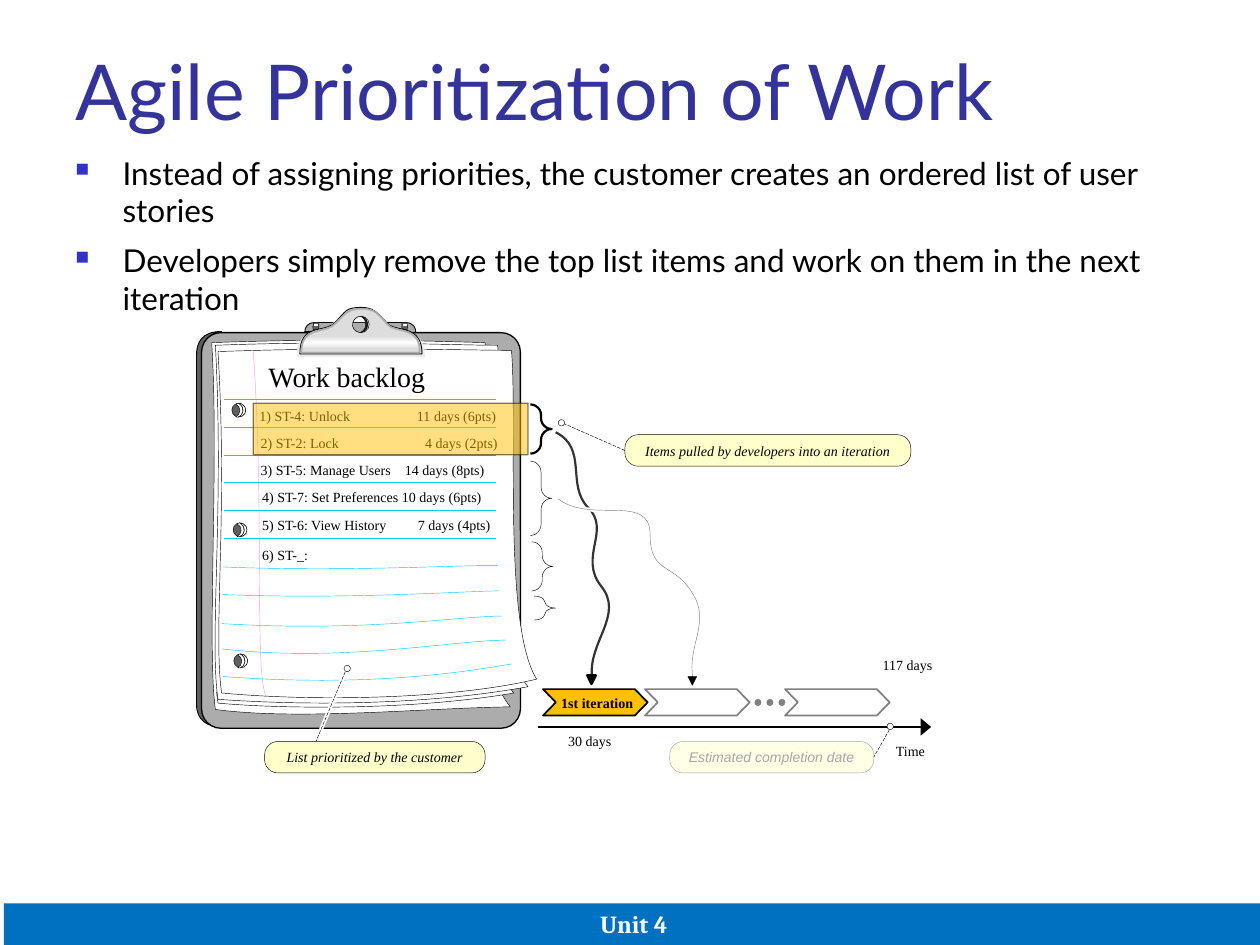
from copy import deepcopy
from typing import NamedTuple, Optional

from lxml.etree import SubElement as Sub
from pptx import Presentation
from pptx.dml.color import RGBColor as RGB
from pptx.enum.dml import MSO_LINE as Dash
from pptx.enum.shapes import MSO_CONNECTOR as Conn, MSO_SHAPE as Kind
from pptx.enum.text import MSO_ANCHOR as Anchor, PP_ALIGN as Align
from pptx.oxml.ns import qn
from pptx.util import Pt

BLACK, WHITE = RGB(0, 0, 0), RGB(255, 255, 255)
NAVY, BLUE, BAR = RGB(0x33, 0x33, 0x99), RGB(0x33, 0x33, 0xCC), RGB(0, 0x70, 0xC0)
GOLD, CREAM, PALE = RGB(0xFF, 0xC0, 0), RGB(0xFF, 0xFF, 0xCC), RGB(0xFF, 0xFF, 0xE6)
INK, COAL, DARK = RGB(0x1C, 0x1C, 0x1C), RGB(0x33, 0x33, 0x33), RGB(0x5F, 0x5F, 0x5F)
GRAY, DIM, STEEL = RGB(0x80, 0x80, 0x80), RGB(0xA6, 0xA6, 0xA6), RGB(0xAC, 0xAC, 0xAC)
SILVER, MIST = RGB(0xDD, 0xDD, 0xDD), RGB(0xEA, 0xEA, 0xEA)
PINK, CYAN = RGB(0xFF, 0x99, 0xFF), RGB(0, 0xCC, 0xFF)
SERIF = "Times New Roman"


class Curve(NamedTuple):
    """An outline of M, L, C and Z steps, in points."""
    steps: str
    fill: Optional[RGB] = None
    line: RGB = BLACK
    width: float = 0.25


class Story(NamedTuple):
    text: str
    left: float
    top: float
    tab: float = 90


class Brace(NamedTuple):
    left: float
    top: float
    height: float
    bend: float
    width: float = 0.25


SHEETS = [
    Curve("M 174.2 189.4 L 237.6 190.1 C 237.6 187.2 236.2 184.3 231.8 184.3 L 180 184.3 "
          "C 175.7 184.3 174.2 187.2 174.2 189.4 Z", STEEL, width=0.5),
    Curve("M 126.7 189.4 C 115.2 189.4 112.3 195.8 112.3 203 L 112.3 402.5 C 112.3 411.8 118.8 415.4 126.7 415.4 "
          "C 123.1 415.4 115.2 413.3 115.2 402.5 L 115.2 203.8 C 115.2 195.1 120.2 190.1 126.7 189.4 Z",
          DARK, width=0.5),
    Curve("M 121 195.8 C 125.3 265.7 118.1 367.9 123.1 405.4 C 171.4 411.8 241.9 404.6 291.6 403.9 "
          "C 261.4 367.2 280.8 236.9 277.2 195.8 C 251.3 195.1 197.3 193 121 195.8 Z", WHITE),
    Curve("M 123.8 395.3 C 123.8 397.4 124.6 401 124.6 401.8 C 154.8 404.6 230.4 406.8 293.8 396 "
          "C 293 396 292.3 393.8 291.6 393.1", WHITE),
    Curve("M 123.1 197.3 C 128.2 291.6 119.5 365 124.6 399.6 C 185 403.9 250.6 401.8 301.7 392.4 "
          "C 270.7 353.5 288 239 284.4 197.3 C 257.8 197.3 201.6 194.4 123.1 197.3 Z", WHITE),
    Curve("M 124.6 200.9 C 130.3 294.5 121.7 361.4 126.7 396 C 179.3 401 259.2 399.6 306.7 388.1 "
          "C 287.3 357.1 295.9 241.9 292.3 200.2 C 265 200.2 206.6 198 124.6 200.9 Z", WHITE),
]
MARGIN = Curve("M 144.7 200.2 C 151.2 293 145.4 383.8 151.9 397.4", line=PINK)
RULES = ["M 127.4 324 C 200.2 326.9 265.7 322.6 284.4 323.3", "M 127.4 339.8 C 200.2 342.7 267.1 337.7 285.1 337.7",
         "M 126.7 356.4 C 209.5 361.4 261.4 352.1 286.6 352.1", "M 126.7 370.8 C 195.8 378.7 259.9 365.8 288.7 365.8",
         "M 127.4 386.6 C 205.9 392.4 259.2 385.2 292.3 379.4"]
RIM = Curve("M 2.2 0.7 C 2.9 0 3.6 0 3.6 0 C 7.9 2.2 6.5 7.2 3.6 7.9 C 3.6 7.9 2.9 7.9 2.2 7.9 "
            "C 5 6.5 5.8 2.2 2.2 0.7 Z", WHITE)
CLIP = [
    Curve("M 179.3 188.6 C 178.6 188.6 178.6 185.8 179.3 184.3 L 182.2 184.3 C 182.2 185.8 182.2 187.2 182.2 187.9 "
          "C 181.4 188.6 180 188.6 179.3 188.6 Z", DARK),
    Curve("M 232.6 188.6 C 232.6 187.9 233.3 185.8 232.6 184.3 L 229.7 184.3 C 229.7 185.8 229.7 187.2 229.7 187.9 "
          "C 230.4 187.9 231.8 188.6 232.6 188.6 Z", DARK),
    Curve("M 223.2 186.5 C 218.2 182.2 216 175.7 206.6 175.7 C 197.3 175.7 197.3 177.8 190.8 184.3 "
          "C 184.3 191.5 169.9 185 169.9 203.8 L 242.6 203.8 C 242.6 186.5 228.2 190.1 223.2 186.5 Z", MIST, MIST),
    Curve("M 222.5 185.8 C 217.4 181.4 215.3 175.7 206.6 175.7 C 197.3 175.7 198 177.8 191.5 184.3 "
          "C 185 190.8 171.4 184.3 171.4 202.3 L 241.2 202.3 C 241.2 185.8 227.5 189.4 222.5 185.8 Z",
          SILVER, width=0.5),
]
BAND = Curve("M 175 192.2 C 173.5 194.4 172.1 196.6 172.1 199.4 L 239.8 199.4 C 240.5 196.6 239 193.7 236.9 192.2 Z",
             SILVER, SILVER)
BEVEL = Curve("M 221 185 C 216.7 180 214.6 176.4 206.6 176.4 C 198.7 176.4 197.3 179.3 191.5 185 "
              "C 186.5 190.8 172.1 185.8 172.1 201.6 L 239.8 201.6 C 240.5 185.8 225.4 190.8 221 185 Z",
              None, STEEL, 1)
EYE = [Curve("M 205.9 180.7 C 208.1 181.4 208.8 183.6 208.8 184.3 L 201.6 184.3 C 202.3 182.2 204.5 180.7 205.9 180.7 Z",
             WHITE),
       Curve("M 205.9 190.1 C 208.8 188.6 209.5 185.8 208.8 184.3 L 201.6 184.3 C 200.9 187.9 203 189.4 205.9 190.1 Z",
             STEEL)]
FLOWS = [Curve("M 317.5 247 C 336.2 256.3 323.3 277.2 336.2 290.2 C 349.2 303.1 330.5 318.2 343.4 334.8 "
               "C 357.1 351.4 335.5 367.2 338.4 387.4", None, COAL, 1.25),
         Curve("M 319 285.1 C 337.7 299.5 371.5 281.5 371.5 305.3 C 371.5 328.3 384.5 321.1 395.3 338.4 "
               "C 406.8 355.7 392.4 367.9 396 388.1", None, GRAY)]
STORIES = [Story("1) ST-4: Unlock\t11 days (6pts)", 148.3, 232.6),
           Story("2) ST-2: Lock\t4 days (2pts)", 149, 248.4, 94),
           Story("3) ST-5: Manage Users\t14 days (8pts)", 149, 263.5, 82.4),
           Story("4) ST-7: Set Preferences 10 days (6pts)", 149.8, 279.4),
           Story("5) ST-6: View History\t7 days (4pts)", 149.8, 295.2, 89),
           Story("6) ST-_:", 149.8, 312.5)]
BRACES = [Brace(303.1, 231.1, 28.1, 0.5, 1.25), Brace(303.1, 263.5, 42.5, 0.52),
          Brace(303.8, 309.6, 28.1, 0.5), Brace(305.3, 340.6, 13.7, 0.29)]

deck = Presentation()
deck.slide_width, deck.slide_height = Pt(720), Pt(540)
shapes = deck.slides.add_slide(deck.slide_layouts[6]).shapes


def paint(shape, fill: Optional[RGB], line: Optional[RGB], width: float) -> None:
    shape.shadow.inherit = False
    for part, color in ((shape.fill, fill), (shape.line.fill, line)):
        if color is None:
            part.background()
        else:
            part.solid()
            part.fore_color.rgb = color
    if line is not None:
        shape.line.width = Pt(width)


def trace(curve: Curve, dx: float = 0, dy: float = 0):
    """Draw an outline; each C step's three lines are merged into one Bezier arc."""
    words, spots, arcs = curve.steps.split(), [], []
    closed = words[-1] == "Z"
    while words and words[0] != "Z":
        size = 6 if words[0] == "C" else 2
        if size == 6:
            arcs.append(len(spots) - 1)
        nums, words = [float(w) for w in words[1:size + 1]], words[size + 1:]
        spots += [(Pt(x + dx), Pt(y + dy)) for x, y in zip(nums[::2], nums[1::2])]
    pen = shapes.build_freeform(*spots[0], scale=1.0)
    pen.add_line_segments(spots[1:], close=closed)
    shape = pen.convert_to_shape()
    legs = shape._element.findall(".//" + qn("a:lnTo"))
    for n in arcs:
        legs[n].tag = qn("a:cubicBezTo")
        for leg in legs[n + 1:n + 3]:
            legs[n].append(leg[0])
            leg.getparent().remove(leg)
    paint(shape, curve.fill, curve.line, curve.width)
    return shape


def add(kind: Kind, box: tuple, fill: Optional[RGB] = None, line: Optional[RGB] = BLACK,
        width: float = 0.25, bend: Optional[float] = None, turn: float = 0):
    shape = shapes.add_shape(kind, *map(Pt, box))
    paint(shape, fill, line, width)
    if bend is not None:
        shape.adjustments[0] = bend
    shape.rotation = turn
    return shape


def rule(x1: float, y1: float, x2: float, y2: float, color: RGB = BLACK, width: float = 0.25, dash: bool = False):
    line = shapes.add_connector(Conn.STRAIGHT, Pt(x1), Pt(y1), Pt(x2), Pt(y2))
    line.line.color.rgb, line.line.width = color, Pt(width)
    if dash:
        line.line.dash_style = Dash.LONG_DASH
    Sub(line._element.spPr, qn("a:effectLst"))
    return line


def write(shape, text: str, size: float = 8, face: str = SERIF, color: RGB = BLACK, align: Align = Align.LEFT,
          bold: bool = False, slant: bool = False, inset: float = 0, wrap: bool = True):
    frame = shape.text_frame
    frame.text, frame.word_wrap = text, wrap
    frame.margin_left = frame.margin_right = Pt(2 * inset)
    frame.margin_top = frame.margin_bottom = Pt(inset)
    for para in frame.paragraphs:
        para.alignment = align
        for run in para.runs:
            font = run.font
            font.size, font.name, font.color.rgb = Pt(size), face, color
            font.bold, font.italic = bold, slant
    return frame


def label(box: tuple, text: str, **look):
    return write(shapes.add_textbox(*map(Pt, box)), text, **look)


def pill(box: tuple, text: str, fill: RGB = CREAM, line: RGB = BLACK, **look):
    shape = add(Kind.ROUNDED_RECTANGLE, box, fill, line, bend=0.425)
    write(shape, text, align=Align.CENTER, slant=True, wrap=False, **look).vertical_anchor = Anchor.MIDDLE
    return shape


def dot(x: float, y: float, fill: RGB = WHITE, line: RGB = BLACK) -> None:
    add(Kind.OVAL, (x, y, 3.6, 3.6), fill, line)


label((36, 21.6, 648, 90), "Agile Prioritization of Work", size=44, face="Lato", color=NAVY, inset=3.6)
body = shapes.add_textbox(Pt(36), Pt(84.2), Pt(648), Pt(356.4))
write(body, "Instead of assigning priorities, the customer creates an ordered list of user stories\n"
      "Developers simply remove the top list items and work on them in the next iteration",
      size=18, face="Lato", inset=3.6)
body.text_frame.paragraphs[1].space_before = Pt(7)
for para in body.text_frame.paragraphs:
    props = para._p.get_or_add_pPr()
    props.set("marL", str(Pt(27)))
    props.set("indent", str(Pt(-27)))
    Sub(Sub(props, qn("a:buClr")), qn("a:srgbClr"), val=str(BLUE))
    Sub(props, qn("a:buSzPct"), val="60000")
    Sub(props, qn("a:buChar"), char="■")

# Clipboard and paper
for n, sheet in enumerate(SHEETS):
    if n == 2:
        add(Kind.ROUNDED_RECTANGLE, (115.2, 190.1, 182.2, 226.1), STEEL, width=0.75, bend=0.061)
    trace(sheet)
trace(MARGIN)
for n in range(6):
    rule(127.8, 228.2 + 15.84 * n, 283.7, 228.2 + 15.84 * n, CYAN)
for steps in RULES:
    trace(Curve(steps, line=CYAN))
for x, y in ((132.5, 230.4), (133.2, 298.8), (133.6, 373.7)):
    add(Kind.OVAL, (x, y, 7.9, 7.9), DARK)
    add(Kind.MOON, (x + 3.6, y, 4.3, 7.9), WHITE, bend=0.344, turn=180)
    trace(RIM, x, y)

# Clip
for curve in CLIP:
    trace(curve)
for x in (179.3, 230.4):
    rule(x, 185.8, x + 2.2, 185.8, WHITE, 0.75)
band = trace(BAND)
band.fill.gradient()
band.fill.gradient_angle = 90
first, mid = band.fill.gradient_stops
first.color.rgb, first.position = SILVER, 0
mid.color.rgb, mid.position = WHITE, 0.5
stops = band._element.spPr.find(".//" + qn("a:gsLst"))
last = deepcopy(stops[0])
last.set("pos", "100000")
stops.append(last)
trace(BEVEL)
add(Kind.MOON, (205.9, 180.7, 4.3, 9.4), INK, bend=0.328, turn=180)
add(Kind.OVAL, (201.6, 180.7, 9.4, 9.4))
for curve in EYE:
    trace(curve)

# Timeline
axis = rule(307.4, 415.4, 532.1, 415.4, width=0.75)
Sub(axis.line._get_or_add_ln(), qn("a:tailEnd"), type="triangle", w="lg", len="med")
for x in (368.6, 448.6):
    add(Kind.CHEVRON, (x, 393.8, 59.8, 15.1), WHITE, GRAY, 1, 0.486)
for n in range(3):
    dot(431.3 + 6.85 * n, 399.6, GRAY, GRAY)
add(Kind.CHEVRON, (310.3, 393.8, 59.8, 15.1), GOLD, width=1, bend=0.486)
label((316.8, 396.7, 49, 10), "1st iteration", bold=True, align=Align.CENTER)
label((511.9, 424.1, 30, 10), "Time")
label((492.8, 375.1, 40, 10), "117 days", align=Align.RIGHT)
label((317, 418.3, 40, 10), "30 days", align=Align.CENTER)
due = pill((382.7, 423.7, 116.6, 18), "Estimated completion date", PALE, DIM, face="Arial", color=DIM)
rule(508.3, 416.9, 499.3, 432.7, dash=True).end_connect(due, 3)
dot(506.9, 413.3)

# Backlog and notes
label((153.4, 205.2, 110, 20), "Work backlog", size=16)
for story in STORIES:
    frame = label((story.left, story.top, 150, 10), story.text)
    tabs = Sub(frame.paragraphs[0]._p.get_or_add_pPr(), qn("a:tabLst"))
    Sub(tabs, qn("a:tab"), pos=str(Pt(story.tab)), algn="l")
for b in BRACES:
    add(Kind.RIGHT_BRACE, (b.left, b.top, 12.2, b.height), width=b.width, bend=b.bend)
pulled = pill((357.1, 248.4, 163.4, 18), "Items pulled by developers into an iteration")
rule(357.1, 257.4, 321.8, 241.9, dash=True).begin_connect(pulled, 1)
dot(319, 239.8)
rule(197.3, 383.8, 180.7, 423.4, WHITE, 2.25)
rule(197.3, 383.8, 180.7, 423.4, dash=True)
dot(196.6, 380.2)
pill((151.2, 423.7, 126, 18), "List prioritized by the customer")

# Work flowing into iterations
for flow, x, y in zip(FLOWS, (335.5, 393.1), (385.9, 386.6)):
    if flow is FLOWS[1]:
        rule(334.1, 290.9, 341.3, 291.6, WHITE, 2.25)
    trace(flow)
    add(Kind.ISOSCELES_TRIANGLE, (x, y, 5, 5), BLACK, width=flow.width, turn=180)
glow = add(Kind.RECTANGLE, (144.7, 230.4, 157, 29.5), GOLD, width=0.75)
for tint in glow._element.spPr.iter(qn("a:srgbClr")):
    Sub(tint, qn("a:alpha"), val="50000")

foot = add(Kind.RECTANGLE, (2.2, 516.2, 720, 23.8), BAR, None)
write(foot, "Unit 4", size=14, face="Cambria", color=WHITE, align=Align.CENTER, bold=True,
      inset=3.6).vertical_anchor = Anchor.BOTTOM

deck.save("out.pptx")
